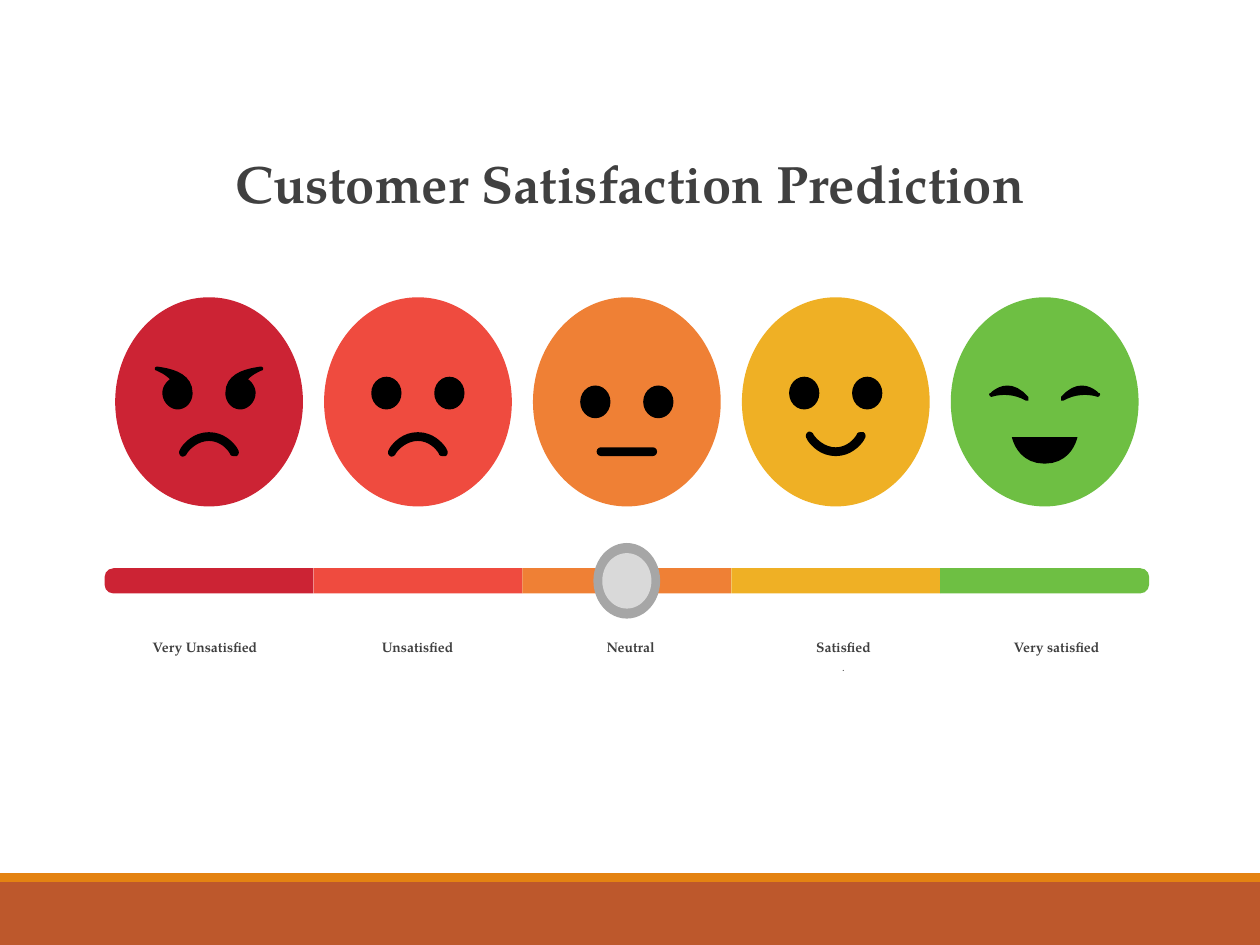
from collections import namedtuple
from dataclasses import dataclass

from pptx import Presentation
from pptx.dml.color import RGBColor
from pptx.enum.shapes import MSO_SHAPE
from pptx.enum.text import PP_ALIGN
from pptx.util import Inches, Pt

Box = namedtuple("Box", "x y w h")


@dataclass(frozen=True)
class Theme:
    """Colours, font and type sizes."""
    font: str = "TeX Gyre Pagella"
    text: str = "404040"
    ink: str = "000000"
    foot: str = "BD582C"
    edge: str = "E48312"
    ring: str = "A6A6A6"
    knob: str = "D9D9D9"
    scale: tuple = ("CC2334", "EF4B3F", "EF8035", "EFB025", "6EBF43")
    title: float = 30
    label: float = 7.9
    dot: float = 5.9


THEME = Theme()
LABELS = [
    ["Very Unsatisfied"],
    ["Unsatisfied"],
    ["Neutral"],
    ["Satisfied", "."],
    ["Very satisfied"],
]
FROWN = [
    (.20, .19), (.19, .19), (.18, .19), (.17, .18), (.17, .17), (.11, .07), (0, .07),
    (-.11, .07), (-.18, .17), (-.18, .18), (-.19, .19), (-.21, .20), (-.22, .19),
    (-.24, .18), (-.24, .15), (-.23, .14), (-.23, .13), (-.15, 0), (0, 0),
    (.15, 0), (.23, .13), (.23, .14), (.24, .15), (.24, .18), (.22, .19),
    (.22, .19), (.21, .19), (.20, .19),
]
GLARE = [
    (.41, -.28), (.35, -.27), (.13, -.25), (.13, -.07), (.13, 0), (.18, .06), (.25, .06),
    (.31, .06), (.37, 0), (.37, -.07), (.37, -.11), (.35, -.15), (.31, -.18),
    (.35, -.22), (.40, -.24), (.42, -.25), (.43, -.25), (.43, -.26), (.43, -.27),
    (.43, -.27), (.42, -.28), (.41, -.28),
]
SQUINT = [
    (.15, -.01), (.27, -.08), (.39, -.05), (.42, -.04), (.43, -.04), (.44, -.05), (.44, -.06),
    (.44, -.06), (.44, -.07), (.43, -.07), (.41, -.09), (.28, -.21), (.13, -.04),
    (.13, -.03), (.13, -.02), (.13, -.01), (.14, -.01), (.14, -.01), (.15, -.01),
]
GRIN = [(-.26, .28), (-.26, .28), (-.22, .49), (0, .49), (.22, .49), (.26, .28), (.26, .28)]


def paint(shape, color):
    """Give a shape a plain fill, no line and no shadow."""
    shape.shadow.inherit = False
    shape.fill.solid()
    shape.fill.fore_color.rgb = RGBColor.from_string(color)
    shape.line.fill.background()
    return shape


def add_form(slide, kind, box, color):
    """Add a preset shape that fills a box."""
    return paint(slide.shapes.add_shape(kind, *map(Inches, box)), color)


def add_oval(slide, x, y, w, h, color):
    """Add an oval around a centre."""
    add_form(slide, MSO_SHAPE.OVAL, Box(x - w / 2, y - h / 2, w, h), color)


def trace(knots, steps=10):
    """Return points along a chain of cubic curves."""
    points = [knots[0]]
    for i in range(0, len(knots) - 1, 3):
        for n in range(1, steps + 1):
            t = n / steps
            parts = ((1 - t) ** 3, 3 * t * (1 - t) ** 2, 3 * t * t * (1 - t), t ** 3)
            points.append(tuple(
                sum(k * knot[axis] for k, knot in zip(parts, knots[i:i + 4]))
                for axis in (0, 1)))
    return points


def add_curve(slide, x, y, knots, flip_x=1, flip_y=1):
    """Add a closed ink outline around an origin, mirrored on request."""
    points = [(Inches(x + flip_x * a), Inches(y + flip_y * b)) for a, b in trace(knots)]
    form = slide.shapes.build_freeform(*points[0])
    form.add_line_segments(points[1:], close=True)
    paint(form.convert_to_shape(), THEME.ink)


def add_text(slide, box, lines, sizes, bolds, after=0):
    """Add centred lines of text, with a gap below the first one."""
    frame = slide.shapes.add_textbox(*map(Inches, box)).text_frame
    frame.word_wrap = True
    for i, (line, size, bold) in enumerate(zip(lines, sizes, bolds)):
        part = frame.add_paragraph() if i else frame.paragraphs[0]
        part.alignment = PP_ALIGN.CENTER
        part.space_after = Pt(0 if i else after)
        run = part.add_run()
        run.text = line
        style = {"name": THEME.font, "size": Pt(size), "bold": bold}
        for key, value in style.items():
            setattr(run.font, key, value)
        run.font.color.rgb = RGBColor.from_string(THEME.text)


def add_face(slide, box, mood):
    """Draw the face of one mood, from 0 for angry to 4 for happy."""
    x, y = box.x + box.w / 2, box.y + box.h / 2
    add_oval(slide, x, y, box.w, box.h, THEME.scale[mood])
    brows = {0: GLARE, 4: SQUINT}
    for side in (-1, 1):
        if mood in brows:
            add_curve(slide, x, y, brows[mood], flip_x=side)
        else:
            lift = 0 if mood == 2 else .07
            add_oval(slide, x + side * .25, y - lift, .24, .26, THEME.ink)
    if mood < 2:
        add_curve(slide, x, y + .24, FROWN)
    elif mood == 2:
        lips = add_form(slide, MSO_SHAPE.ROUNDED_RECTANGLE,
                        Box(x - .24, y + .36, .48, .07), THEME.ink)
        lips.adjustments[0] = .5
    elif mood == 3:
        add_curve(slide, x, y + .43, FROWN, flip_y=-1)
    else:
        add_curve(slide, x, y, GRIN)


def add_faces(slide, box):
    """Centre a face in each of the equal cells of a row."""
    cell, wide = box.w / len(THEME.scale), 1.49
    for mood in range(len(THEME.scale)):
        left = box.x + cell * mood + (cell - wide) / 2
        add_face(slide, Box(left, box.y, wide, box.h), mood)


def add_slider(slide, box):
    """Draw the bar with round ends and the knob at its middle."""
    cell, last = box.w / len(THEME.scale), len(THEME.scale) - 1
    y = box.y + box.h / 2
    for i, color in enumerate(THEME.scale):
        left = box.x + cell * i
        if i in (0, last):
            turned = Box(left + (cell - box.h) / 2, y - cell / 2, box.h, cell)
            end = add_form(slide, MSO_SHAPE.ROUND_2_SAME_RECTANGLE, turned, color)
            end.adjustments[0] = .35
            end.rotation = 90 if i else 270
        else:
            add_form(slide, MSO_SHAPE.RECTANGLE, Box(left, box.y, cell, box.h), color)
    for w, h, color in ((.53, .6, THEME.ring), (.39, .44, THEME.knob)):
        add_oval(slide, box.x + box.w / 2, y, w, h, color)


def add_labels(slide, box, pitch=1.69):
    """Write the name of each mood at an equal pitch."""
    for i, lines in enumerate(LABELS):
        spot = Box(box.x + pitch * i, box.y, box.w, box.h)
        add_text(slide, spot, lines, (THEME.label, THEME.dot), (True, False), after=3.4)


def add_footer(slide, box, edge=.07):
    """Draw the footer band with a thin strip on top."""
    add_form(slide, MSO_SHAPE.RECTANGLE,
             Box(box.x, box.y + edge, box.w, box.h - edge), THEME.foot)
    add_form(slide, MSO_SHAPE.RECTANGLE, Box(box.x, box.y, box.w, edge), THEME.edge)


def main():
    """Build the slide and save it."""
    deck = Presentation()
    deck.slide_width, deck.slide_height = Inches(10), Inches(7.5)
    slide = deck.slides.add_slide(deck.slide_layouts[6])
    add_footer(slide, Box(0, 6.93, 10, .57))
    add_text(slide, Box(0, 1.15, 10, .61), ["Customer Satisfaction Prediction"],
             [THEME.title], [True])
    add_faces(slide, Box(.83, 2.36, 8.29, 1.66))
    add_slider(slide, Box(.83, 4.51, 8.29, .2))
    add_labels(slide, Box(.84, 5.02, 1.57, .29))
    deck.save("out.pptx")


if __name__ == "__main__":
    main()
